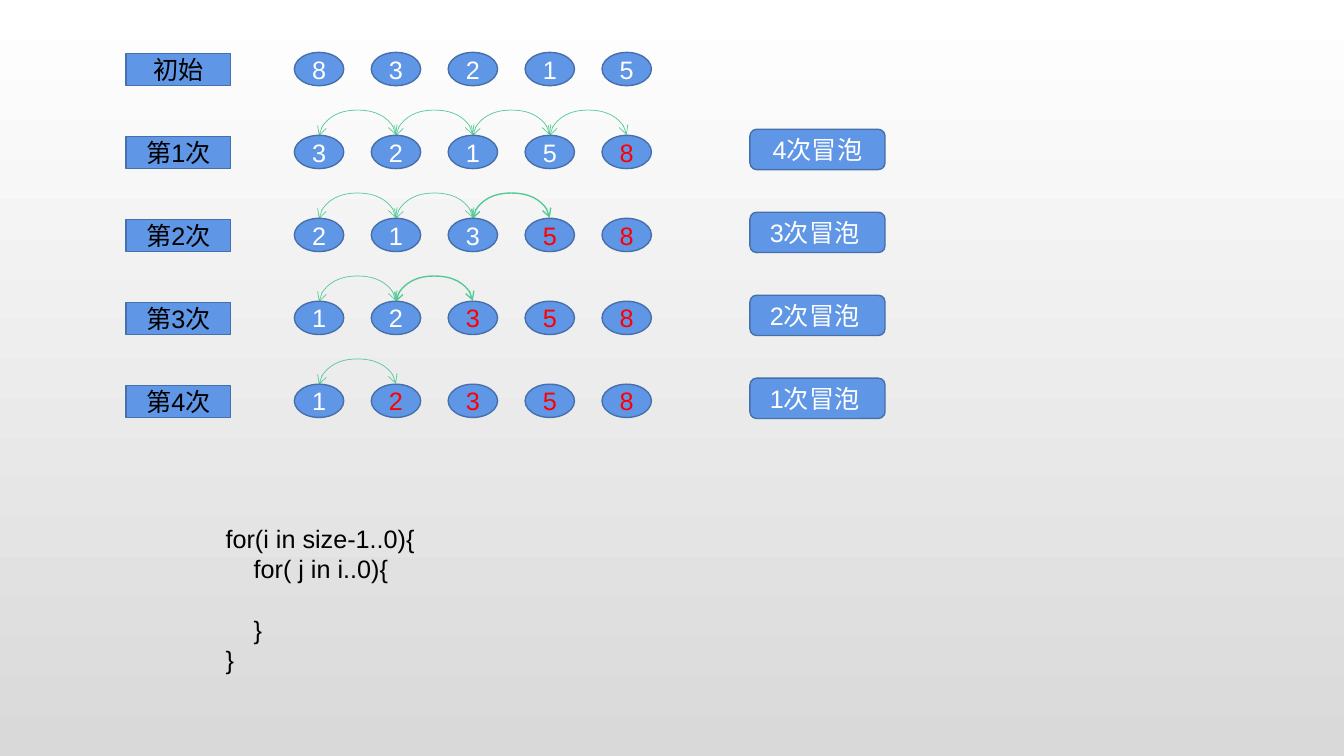
import dataclasses

import lxml.etree
import pptx
import pptx.dml.color
import pptx.enum.dml
import pptx.enum.shapes
import pptx.enum.text
import pptx.oxml.ns
import pptx.util

SHAPE = pptx.enum.shapes.MSO_SHAPE
ALIGN = pptx.enum.text.PP_ALIGN


@dataclasses.dataclass(frozen=True)
class Theme:
    fill: str = "6096E6"
    outline: str = "476FAA"
    arc: str = "56CA95"
    light: str = "FFFFFF"
    dark: str = "000000"
    settled: str = "FF0000"
    shade: str = "D9D9D9"
    font: str = "Arial"
    size: int = 18
    thin: float = 0.5
    line: float = 1


@dataclasses.dataclass(frozen=True)
class Box:
    column: float
    row: float
    width: float
    height: float

    def inner(self, column, row, width, height):
        return Box(self.column + column, self.row + row, width, height)

    def place(self):
        return [cells(n) for n in (self.column, self.row, self.width, self.height)]


THEME = Theme()
COLUMNS, ROWS = 133.33, 75
ROW_PITCH = 8.23
BALL_PITCH = 7.63
BALL_LEFT, BALL_WIDTH, BALL_HEIGHT = 16.7, 4.9, 3.3
ARC_RISE, ARC_STEP = 2.6, 0.1
NUMBERS = [8, 3, 2, 1, 5]
BOLD_ARC_PASSES = (2, 3)


def cells(count):
    return pptx.util.Inches(count / 10)


def rgb(code):
    return pptx.dml.color.RGBColor.from_string(code)


def add_span(para, text, color):
    span = para.add_run()
    span.text = text
    span.font.name = THEME.font
    span.font.size = pptx.util.Pt(THEME.size)
    span.font.color.rgb = rgb(color)


def add_label(page, kind, box, text, color):
    shape = page.shapes.add_shape(kind, *box.place())
    shape.shadow.inherit = False
    shape.fill.solid()
    shape.fill.fore_color.rgb = rgb(THEME.fill)
    shape.line.color.rgb = rgb(THEME.outline)
    shape.line.width = pptx.util.Pt(THEME.line)
    frame = shape.text_frame
    frame.margin_left = frame.margin_right = frame.margin_top = frame.margin_bottom = 0
    frame.vertical_anchor = pptx.enum.text.MSO_ANCHOR.MIDDLE
    para = frame.paragraphs[0]
    para.alignment = ALIGN.CENTER
    add_span(para, text, color)


def add_arc(page, box, weight):
    middle = box.column + box.width / 2
    arc = page.shapes.add_connector(
        pptx.enum.shapes.MSO_CONNECTOR.CURVE,
        cells(middle - ARC_STEP / 2), cells(box.row - box.width / 2),
        cells(middle + ARC_STEP / 2), cells(box.row + box.width / 2))
    arc.line.color.rgb = rgb(THEME.arc)
    arc.line.width = pptx.util.Pt(weight)
    qn = pptx.oxml.ns.qn
    properties = arc._element.spPr
    properties.find(qn("a:xfrm")).set("rot", str(270 * 60000))
    adjust = lxml.etree.SubElement(properties.find(qn("a:prstGeom")).find(qn("a:avLst")), qn("a:gd"))
    adjust.set("name", "adj1")
    adjust.set("fmla", f"val {round(box.height / ARC_STEP * 100000)}")
    for end in ("a:headEnd", "a:tailEnd"):
        lxml.etree.SubElement(properties.find(qn("a:ln")), qn(end)).set("type", "arrow")
    lxml.etree.SubElement(properties, qn("a:effectLst"))


def add_numbers(page, box, numbers, settled):
    for index, number in enumerate(numbers):
        color = THEME.settled if index >= len(numbers) - settled else THEME.light
        ball = box.inner(index * BALL_PITCH, 0, BALL_WIDTH, BALL_HEIGHT)
        add_label(page, SHAPE.OVAL, ball, str(number), color)


def add_swaps(page, box, count, bold_last):
    for index in range(count):
        bold = bold_last and index == count - 1
        span = box.inner(BALL_WIDTH / 2 + index * BALL_PITCH, 0, BALL_PITCH, ARC_RISE)
        add_arc(page, span, THEME.line if bold else THEME.thin)


def bubble(numbers):
    numbers = list(numbers)
    for index in range(len(numbers) - 1):
        numbers[index:index + 2] = sorted(numbers[index:index + 2])
    return numbers


def add_trace(page, box):
    numbers = NUMBERS
    for step in range(len(NUMBERS)):
        line = box.inner(0, step * ROW_PITCH, box.width, BALL_HEIGHT)
        title = f"第{step}次" if step else "初始"
        add_label(page, SHAPE.RECTANGLE, line.inner(0, 0.1, 10.4, 3.2), title, THEME.dark)
        balls = line.inner(BALL_LEFT, 0, box.width - BALL_LEFT, BALL_HEIGHT)
        if step:
            numbers = bubble(numbers)
            swaps = len(NUMBERS) - step
            tail = "" if step == 1 else " "
            note = line.inner(box.width - 13.4, -0.6, 13.4, 4)
            add_label(page, SHAPE.ROUNDED_RECTANGLE, note, f"{swaps}次冒泡{tail}", THEME.light)
            add_swaps(page, balls, swaps, step in BOLD_ARC_PASSES)
        add_numbers(page, balls, numbers, step)


def add_code(page, box):
    frame = page.shapes.add_textbox(*box.place()).text_frame
    frame.word_wrap = True
    lines = [("for(i in size-1..0){", 0, 0), ("for( j in i..0){", 1, 0), ("}", 1, 1), ("}", 0, 0)]
    for index, (text, depth, gap) in enumerate(lines):
        para = frame.paragraphs[0] if index == 0 else frame.add_paragraph()
        properties = para._p.get_or_add_pPr()
        properties.set("marL", str(cells(2.78 * depth)))
        properties.set("indent", "0")
        para.space_before = pptx.util.Pt(21.6 * gap)
        add_span(para, text, THEME.dark)


def paint_background(page):
    fill = page.background.fill
    fill.gradient()
    fill.gradient_angle = 270
    for stop, color, position in zip(fill.gradient_stops, (THEME.light, THEME.shade), (0, 1)):
        stop.color.rgb = rgb(color)
        stop.position = position


deck = pptx.Presentation()
deck.slide_width, deck.slide_height = cells(COLUMNS), cells(ROWS)
page = deck.slides.add_slide(deck.slide_layouts[6])
paint_background(page)
add_trace(page, Box(12.5, 5.2, 75.3, 36.2))
add_code(page, Box(21.4, 51.4, 55.6, 16.1))
deck.save("out.pptx")
